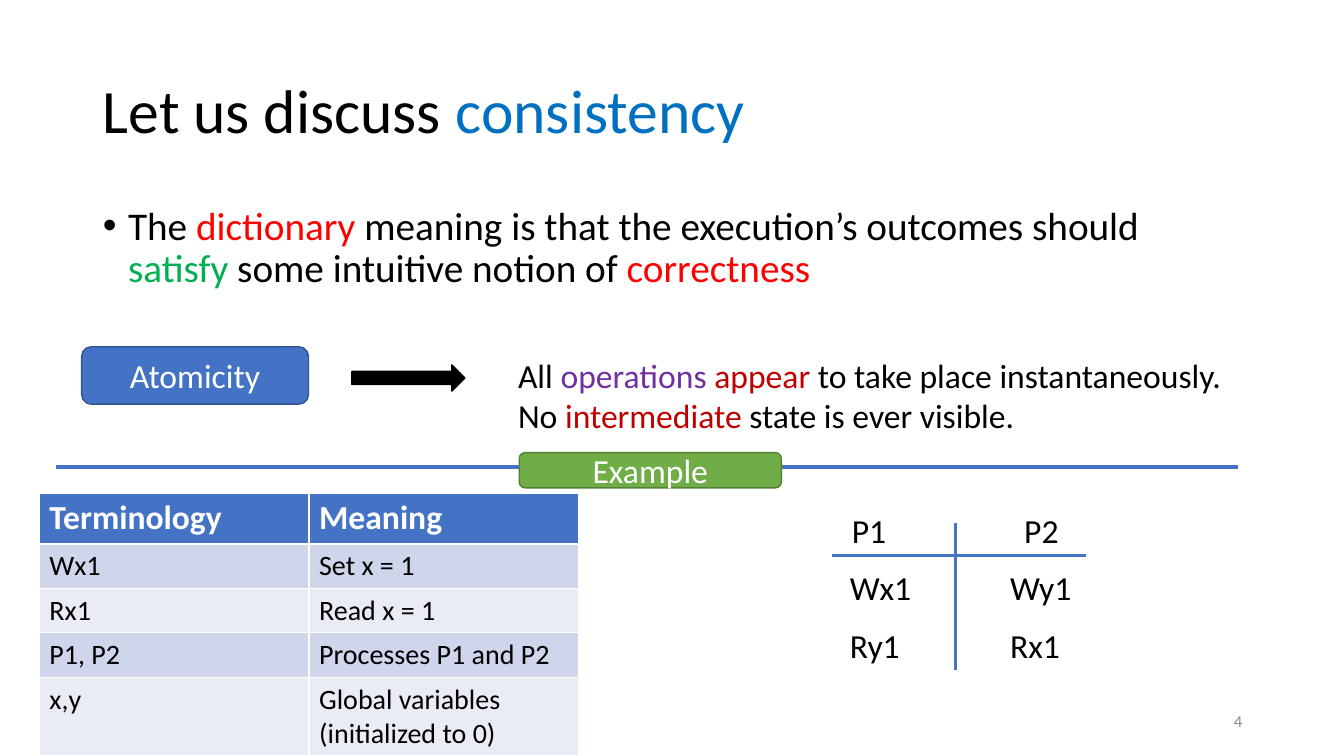
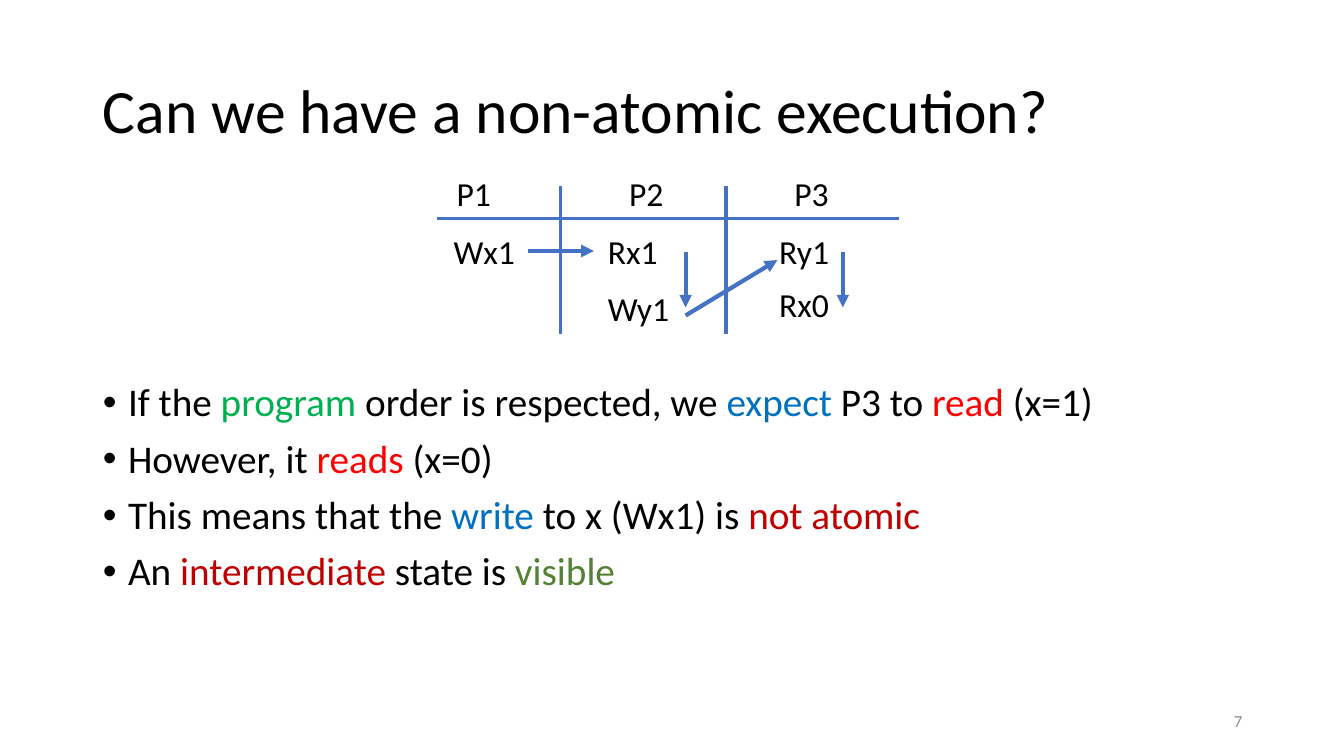
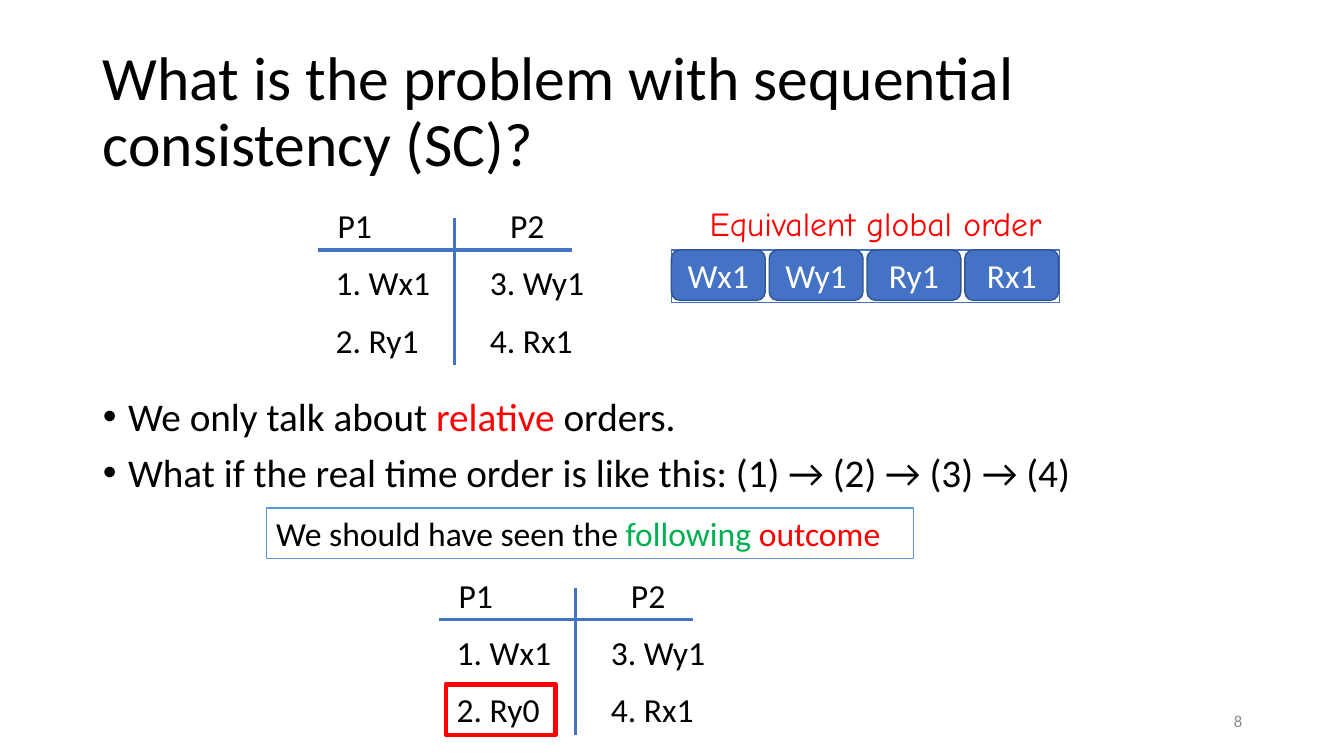
from pptx import Presentation
from pptx.dml.color import RGBColor
from pptx.enum.shapes import MSO_CONNECTOR, MSO_SHAPE
from pptx.enum.text import MSO_ANCHOR, MSO_AUTO_SIZE, PP_ALIGN
from pptx.oxml.ns import qn
from pptx.util import Inches, Pt
from lxml import etree

BLACK = RGBColor(0x00, 0x00, 0x00)
WHITE = RGBColor(0xFF, 0xFF, 0xFF)
GREY = RGBColor(0x8C, 0x8C, 0x8C)
RED = RGBColor(0xFF, 0x00, 0x00)
DARK_RED = RGBColor(0xC0, 0x00, 0x00)
BLUE = RGBColor(0x00, 0x70, 0xC0)
GREEN = RGBColor(0x00, 0xB0, 0x50)
DARK_GREEN = RGBColor(0x54, 0x82, 0x35)
PURPLE = RGBColor(0x70, 0x30, 0xA0)
ACCENT = RGBColor(0x44, 0x72, 0xC4)
ACCENT_EDGE = RGBColor(0x32, 0x54, 0x91)
TAG_GREEN = RGBColor(0x70, 0xAD, 0x47)
TAG_EDGE = RGBColor(0x53, 0x80, 0x35)
OUTCOME_EDGE = RGBColor(0x5B, 0x9B, 0xD5)
BAND_DARK = RGBColor(0xCF, 0xD5, 0xEA)
BAND_LIGHT = RGBColor(0xE9, 0xEB, 0xF5)

RECT = MSO_SHAPE.RECTANGLE
ROUNDED = MSO_SHAPE.ROUNDED_RECTANGLE
RIGHT_ARROW = MSO_SHAPE.RIGHT_ARROW
STRAIGHT = MSO_CONNECTOR.STRAIGHT
LEFT, CENTER, RIGHT = PP_ALIGN.LEFT, PP_ALIGN.CENTER, PP_ALIGN.RIGHT
TOP, MIDDLE = MSO_ANCHOR.TOP, MSO_ANCHOR.MIDDLE
NO_FIT = MSO_AUTO_SIZE.NONE

FONT = "Calibri"
MARGIN, CONTENT_WIDTH = 0.92, 11.5
GRID_HEIGHT, HEADER_HEIGHT, ROW_PITCH, TEXT_HEIGHT = 1.46, 0.32, 0.57, 0.5
TEXT_RISE = 0.18


def write(paragraph, parts, size=24, color=BLACK, align=LEFT, font=FONT):
    paragraph.alignment = align
    paragraph.font.size = Pt(size)
    paragraph.font.name = font
    paragraph.font.color.rgb = color
    for part in parts:
        text, accent = part if isinstance(part, tuple) else (part, None)
        run = paragraph.add_run()
        run.text = text
        if accent is not None:
            run.font.color.rgb = accent


def fill_frame(frame, lines, anchor=TOP, **style):
    frame.word_wrap = True
    frame.auto_size = NO_FIT
    frame.vertical_anchor = anchor
    for index, parts in enumerate(lines):
        paragraph = frame.add_paragraph() if index else frame.paragraphs[0]
        write(paragraph, parts, **style)


def add_text(slide, box, lines, **style):
    label = slide.shapes.add_textbox(*map(Inches, box))
    fill_frame(label.text_frame, lines, **style)


def add_box(shapes, kind, box, fill, edge, edge_width=1):
    block = shapes.add_shape(kind, *map(Inches, box))
    block.shadow.inherit = False
    if fill is None:
        block.fill.background()
    else:
        block.fill.solid()
        block.fill.fore_color.rgb = fill
    block.line.color.rgb = edge
    block.line.width = Pt(edge_width)
    return block


def add_block(shapes, box, text, fill=ACCENT, edge=ACCENT_EDGE):
    block = add_box(shapes, ROUNDED, box, fill, edge)
    fill_frame(block.text_frame, [[text]], anchor=MIDDLE, color=WHITE, align=CENTER)


def add_line(slide, start, end, width=2.25, arrow=False):
    line = slide.shapes.add_connector(STRAIGHT, *map(Inches, (*start, *end)))
    line.line.color.rgb = ACCENT
    line.line.width = Pt(width)
    properties = line.element.spPr
    if arrow:
        etree.SubElement(properties.find(qn("a:ln")), qn("a:tailEnd"), type="triangle")
    etree.SubElement(properties, qn("a:effectLst"))


def place(holder, box):
    holder.left, holder.top, holder.width, holder.height = map(Inches, box)


def add_slide(prs, number, title, bullets, body_top, body_height):
    slide = prs.slides.add_slide(prs.slide_layouts[1])
    heading, body = slide.placeholders
    place(heading, (MARGIN, 0.4, CONTENT_WIDTH, 1.45))
    fill_frame(heading.text_frame, [title], anchor=MIDDLE, size=44)
    heading.text_frame.paragraphs[0].line_spacing = 0.9
    place(body, (MARGIN, body_top, CONTENT_WIDTH, body_height))
    fill_frame(body.text_frame, bullets, size=28)
    for index, paragraph in enumerate(body.text_frame.paragraphs):
        paragraph.line_spacing = 0.9
        paragraph.space_before = Pt(10 if index else 0)
        indent = paragraph._p.get_or_add_pPr()
        indent.set("marL", str(Inches(0.25)))
        indent.set("indent", str(Inches(-0.25)))
    add_text(slide, (9.42, 6.95, 3, 0.4), [[str(number)]],
             anchor=MIDDLE, size=12, color=GREY, align=RIGHT)
    return slide


def add_process_grid(slide, left, top, width, dividers, columns):
    for divider in dividers:
        x = left + divider
        add_line(slide, (x, top), (x, top + GRID_HEIGHT))
    header_y = top + HEADER_HEIGHT
    add_line(slide, (left, header_y), (left + width, header_y))
    for process, header_x, cell_x, pitch, operations in columns:
        add_text(slide, (left + header_x, top - TEXT_RISE, 0.55, TEXT_HEIGHT), [[process]])
        for row, operation in enumerate(operations):
            y = top - TEXT_RISE + ROW_PITCH + row * pitch
            cell_width = 0.55 + 0.11 * len(operation)
            add_text(slide, (left + cell_x, y, cell_width, TEXT_HEIGHT), [[operation]])


def add_numbered_grid(slide, left, top, second):
    add_process_grid(slide, left, top, 2.52, [1.36], [
        ("P1", 0.1, 0.08, ROW_PITCH, ["1. Wx1", second]),
        ("P2", 1.81, 1.61, ROW_PITCH, ["3. Wy1", "4. Rx1"]),
    ])


def add_terminology(slide, left, top, width):
    rows = [
        ("Terminology", "Meaning"),
        ("Wx1", "Set x = 1"),
        ("Rx1", "Read x = 1"),
        ("P1, P2", "Processes P1 and P2"),
        ("x,y", "Global variables (initialized to 0)"),
    ]
    table = slide.shapes.add_table(
        len(rows), 2, *map(Inches, (left, top, width, 0.41 * len(rows)))).table
    for r, row in enumerate(rows):
        header = r == 0
        band = BAND_DARK if r % 2 else BAND_LIGHT
        for c, text in enumerate(row):
            cell = table.cell(r, c)
            cell.fill.solid()
            cell.fill.fore_color.rgb = ACCENT if header else band
            paragraph = cell.text_frame.paragraphs[0]
            write(paragraph, [text], size=24 if header else 20,
                  color=WHITE if header else BLACK)
            paragraph.font.bold = header


def add_atomicity(slide, left, top):
    add_block(slide.shapes, (left, top, 2.25, 0.57), "Atomicity")
    add_box(slide.shapes, RIGHT_ARROW, (left + 2.68, top + 0.18, 1.12, 0.26), BLACK, BLACK)
    add_text(slide, (left + 4.23, top + 0.03, 7.4, 0.91), [
        ["All ", ("operations ", PURPLE), ("appear", DARK_RED),
         " to take place instantaneously."],
        ["No ", ("intermediate", DARK_RED), " state is ever visible."],
    ])


def add_global_order(slide, left, top, operations):
    group = slide.shapes.add_group_shape()
    add_box(group.shapes, RECT, (left, top, 3.85, 0.52), WHITE, ACCENT)
    for index, operation in enumerate(operations):
        add_block(group.shapes, (left + 0.97 * index, top, 0.93, 0.5), operation)
    add_text(slide, (left + 0.28, top - 0.52, 3.8, TEXT_HEIGHT),
             [["Equivalent global order"]], color=RED, font="Comic Neue")


def consistency_slide(prs):
    slide = add_slide(prs, 4, ["Let us discuss ", ("consistency", BLUE)], [
        ["The ", ("dictionary", RED), " meaning is that the execution’s outcomes should ",
         ("satisfy", GREEN), " some intuitive notion of ", ("correctness", RED)],
    ], 2, 1.02)
    add_atomicity(slide, 0.81, 3.44)
    add_line(slide, (0.56, 4.63), (12.28, 4.63), 3)
    add_block(slide.shapes, (5.15, 4.49, 2.6, 0.35), "Example", TAG_GREEN, TAG_EDGE)
    add_terminology(slide, 0.39, 4.89, 5.35)
    add_process_grid(slide, 8.25, 5.19, 2.52, [1.23], [
        ("P1", 0.1, 0.08, ROW_PITCH, ["Wx1", "Ry1"]),
        ("P2", 1.81, 1.67, ROW_PITCH, ["Wy1", "Rx1"]),
    ])


def non_atomic_slide(prs):
    slide = add_slide(prs, 7, ["Can we have a non-atomic execution?"], [
        ["If the ", ("program", GREEN), " order is respected, we ", ("expect", BLUE),
         " P3 to ", ("read", RED), " (x=1)"],
        ["However, it ", ("reads", RED), " (x=0)"],
        ["This means that the ", ("write", BLUE), " to x (Wx1) is ",
         ("not atomic", DARK_RED)],
        ["An ", ("intermediate", DARK_RED), " state is ", ("visible", DARK_GREEN)],
    ], 3.75, 3.01)
    left, top = 4.33, 1.85
    add_process_grid(slide, left, top, 4.59, [1.23, 2.87], [
        ("P1", 0.1, 0.07, ROW_PITCH, ["Wx1"]),
        ("P2", 1.81, 1.6, ROW_PITCH, ["Rx1", "Wy1"]),
        ("P3", 3.45, 3.3, 0.53, ["Ry1", "Rx0"]),
    ])
    arrows = [
        (0.91, 0.64, 1.56, 0.64),
        (2.47, 0.65, 2.47, 1.2),
        (2.47, 1.28, 3.38, 0.73),
        (4.03, 0.65, 4.03, 1.2),
    ]
    for x1, y1, x2, y2 in arrows:
        add_line(slide, (left + x1, top + y1), (left + x2, top + y2), 3, arrow=True)


def sequential_slide(prs):
    slide = add_slide(prs, 8, ["What is the problem with sequential consistency (SC)?"], [
        ["We only talk about ", ("relative", RED), " orders."],
        ["What if the real time order is like this: (1) → (2) → (3) → (4)"],
    ], 3.89, 1.28)
    add_numbered_grid(slide, 3.15, 2.16, "2. Ry1")
    add_global_order(slide, 6.66, 2.48, ["Wx1", "Wy1", "Ry1", "Rx1"])
    outcome = add_box(slide.shapes, RECT, (2.64, 5.04, 6.42, 0.5), WHITE, OUTCOME_EDGE)
    fill_frame(outcome.text_frame, [
        ["We should have seen the ", ("following ", GREEN), ("outcome", RED)],
    ])
    add_numbered_grid(slide, 4.35, 5.83, "2. Ry0")
    add_box(slide.shapes, RECT, (4.42, 6.79, 1.09, 0.5), None, RED, 3)


def main():
    prs = Presentation()
    prs.slide_width, prs.slide_height = Inches(13.33), Inches(7.5)
    consistency_slide(prs)
    non_atomic_slide(prs)
    sequential_slide(prs)
    prs.save("out.pptx")


if __name__ == "__main__":
    main()
